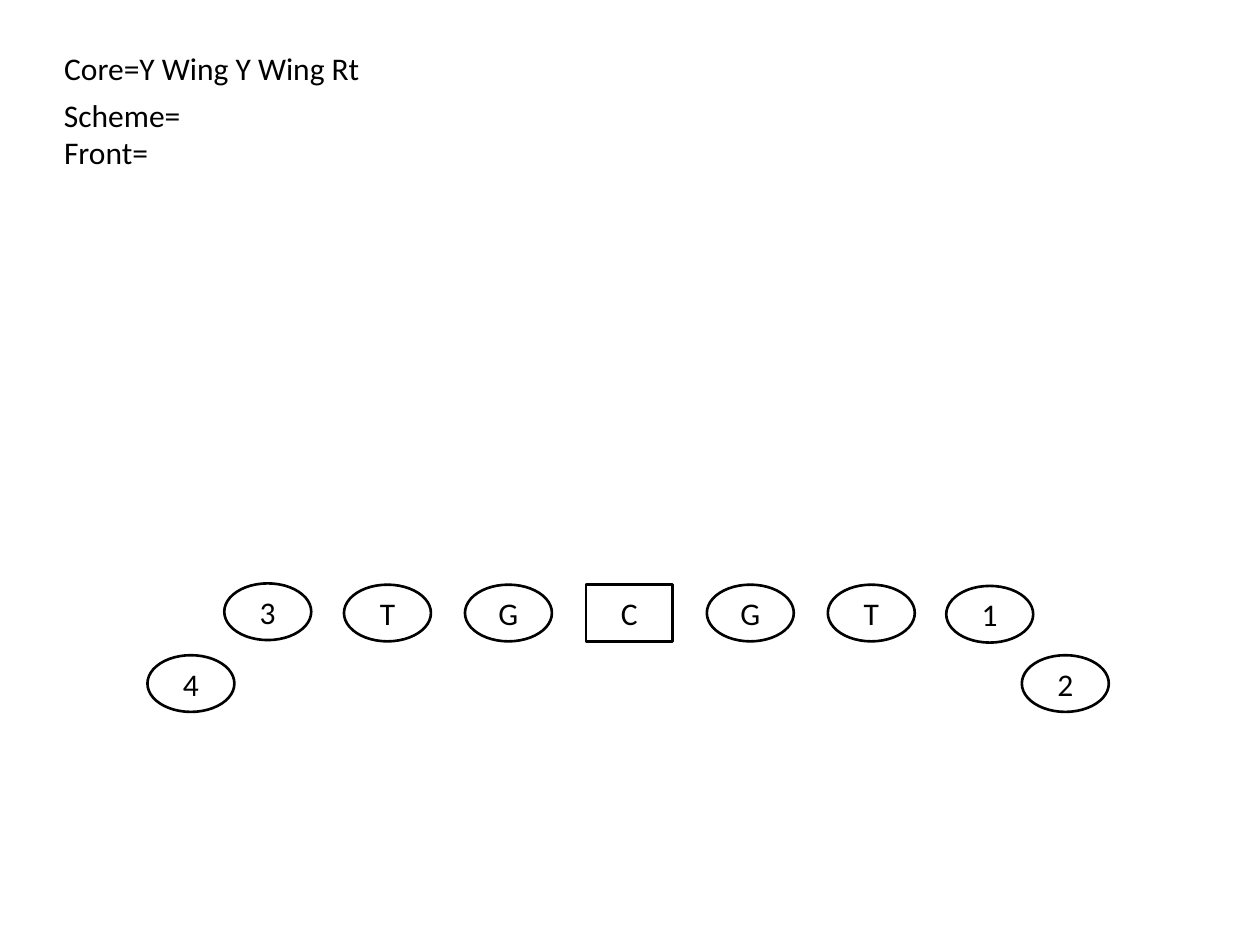
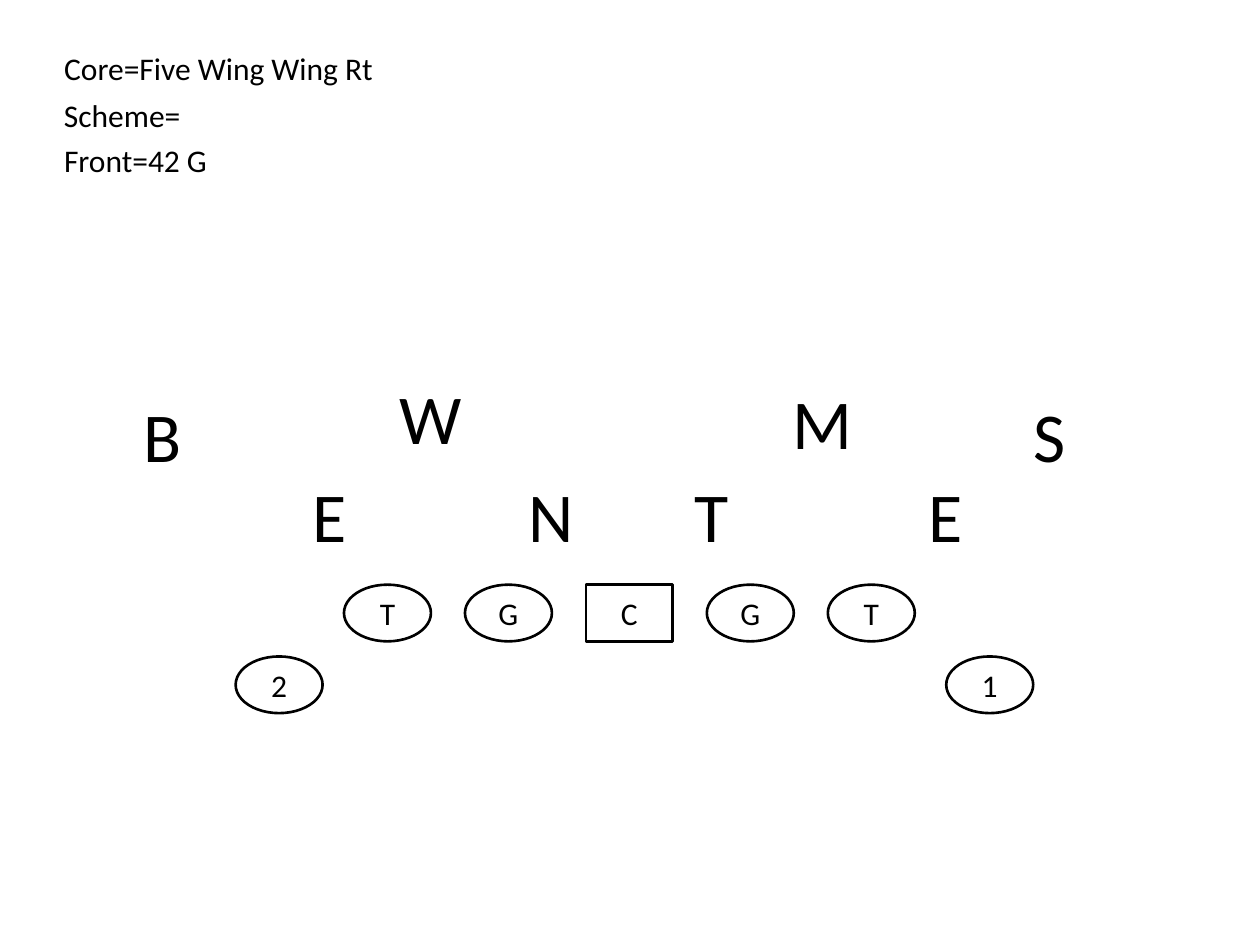
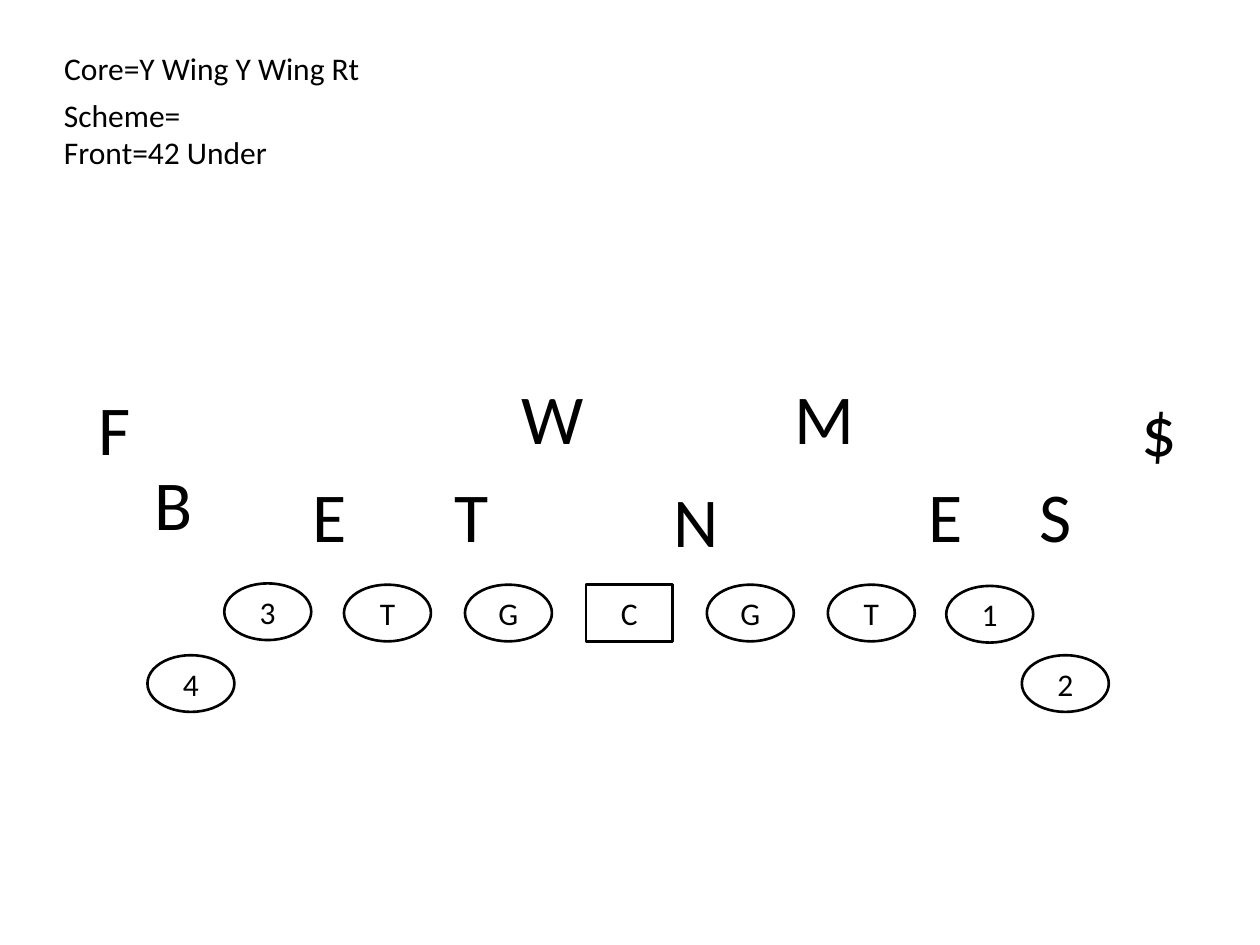
from pptx import Presentation
from pptx.dml.color import RGBColor
from pptx.enum.shapes import MSO_SHAPE
from pptx.enum.text import MSO_ANCHOR, MSO_AUTO_SIZE, PP_ALIGN
from pptx.util import Inches, Pt

OVAL, RECT = MSO_SHAPE.OVAL, MSO_SHAPE.RECTANGLE
TOP, MIDDLE = MSO_ANCHOR.TOP, MSO_ANCHOR.MIDDLE
LEFT, CENTER = PP_ALIGN.LEFT, PP_ALIGN.CENTER
GROW = MSO_AUTO_SIZE.SHAPE_TO_FIT_TEXT

COLORS = {"ink": "000000", "paper": "FFFFFF"}
FONT = "Calibri"
SMALL, LARGE = 18, 40

# Offensive line shared by every play, then the ends and wings: (label, left, top)
LINE = "TGCGT"
Y_WING = [("3", 1.78, 4.63), ("1", 7.51, 4.65), ("4", 1.17, 5.2), ("2", 8.11, 5.2)]
FIVE_WING = [("2", 1.87, 5.21), ("1", 7.51, 5.21)]

# Each note is (text, top, width); each defender is (letter, left, top)
SCHEME = ("Scheme=", 0.71, 1.14)
PLAYS = [
    {
        "core": ("Core=Y Wing Y Wing Rt", 0.34, 2.57),
        "notes": [SCHEME, ("Front=", 1.01, 0.88)],
        "wings": Y_WING,
        "defense": [],
    },
    {
        "core": ("Core=Five Wing Wing Rt", 0.34, 2.68),
        "notes": [SCHEME, ("Front=42 G", 1.07, 1.35)],
        "wings": FIVE_WING,
        "defense": [
            ("B", 1.04, 3.07), ("W", 3.07, 2.92), ("M", 6.19, 2.96), ("S", 8.1, 3.07),
            ("E", 2.38, 3.7), ("N", 4.1, 3.7), ("T", 5.41, 3.7), ("E", 7.27, 3.7),
        ],
    },
    {
        "core": ("Core=Y Wing Y Wing Rt", 0.34, 2.57),
        "notes": [SCHEME, ("Front=42 Under", 1.01, 1.83)],
        "wings": Y_WING,
        "defense": [
            ("F", 0.68, 3.01), ("W", 4.04, 2.92), ("M", 6.21, 2.92), ("$", 8.96, 3.02),
            ("B", 1.13, 3.61), ("E", 2.38, 3.7), ("T", 3.51, 3.7), ("N", 5.25, 3.74),
            ("E", 7.27, 3.7), ("S", 8.15, 3.7),
        ],
    },
]

# Layout in inches
NOTE_X, NOTE_H = 0.41, 0.4
LINE_X, LINE_Y, PITCH = 2.73, 4.64, 0.96
MARK_W, MARK_H = 0.69, 0.45
LETTER_H = 0.77
WIDTHS = {"W": 0.7, "M": 0.7, "N": 0.56, "B": 0.51, "$": 0.39, "F": 0.35}
LETTER_W = 0.48


def color(name):
    return RGBColor.from_string(COLORS[name])


def write(shape, text, size, align=LEFT, anchor=TOP, wrap=True):
    frame = shape.text_frame
    frame.text = text
    frame.word_wrap = wrap
    frame.vertical_anchor = anchor
    para = frame.paragraphs[0]
    para.alignment = align
    font = para.runs[0].font
    font.name, font.size = FONT, Pt(size)
    font.color.rgb = color("ink")


def add_core(slide, text, top, width):
    title = slide.shapes.title
    title.left, title.top = Inches(NOTE_X), Inches(top)
    title.width, title.height = Inches(width), Inches(NOTE_H)
    write(title, text, SMALL, wrap=False)
    title.text_frame.auto_size = GROW


def add_label(slide, text, size, box, wrap):
    label = slide.shapes.add_textbox(*map(Inches, box))
    write(label, text, size, wrap=wrap)
    label.text_frame.auto_size = GROW


def add_mark(slide, text, left, top):
    kind = RECT if text == "C" else OVAL
    mark = slide.shapes.add_shape(kind, *map(Inches, (left, top, MARK_W, MARK_H)))
    mark.shadow.inherit = False
    mark.fill.solid()
    mark.fill.fore_color.rgb = color("paper")
    mark.line.color.rgb = color("ink")
    mark.line.width = Pt(1.5)
    write(mark, text, SMALL, CENTER, MIDDLE)


def add_play(deck, play):
    slide = deck.slides.add_slide(deck.slide_layouts[5])
    # Play notes
    add_core(slide, *play["core"])
    for text, top, width in play["notes"]:
        add_label(slide, text, SMALL, (NOTE_X, top, width, NOTE_H), False)
    # Offense
    for i, text in enumerate(LINE):
        add_mark(slide, text, LINE_X + i * PITCH, LINE_Y)
    for wing in play["wings"]:
        add_mark(slide, *wing)
    # Defense
    for text, left, top in play["defense"]:
        width = WIDTHS.get(text, LETTER_W)
        add_label(slide, text, LARGE, (left, top, width, LETTER_H), True)


def main():
    deck = Presentation()
    deck.slide_width, deck.slide_height = Inches(10), Inches(7.5)
    for play in PLAYS:
        add_play(deck, play)
    deck.save("out.pptx")


if __name__ == "__main__":
    main()
